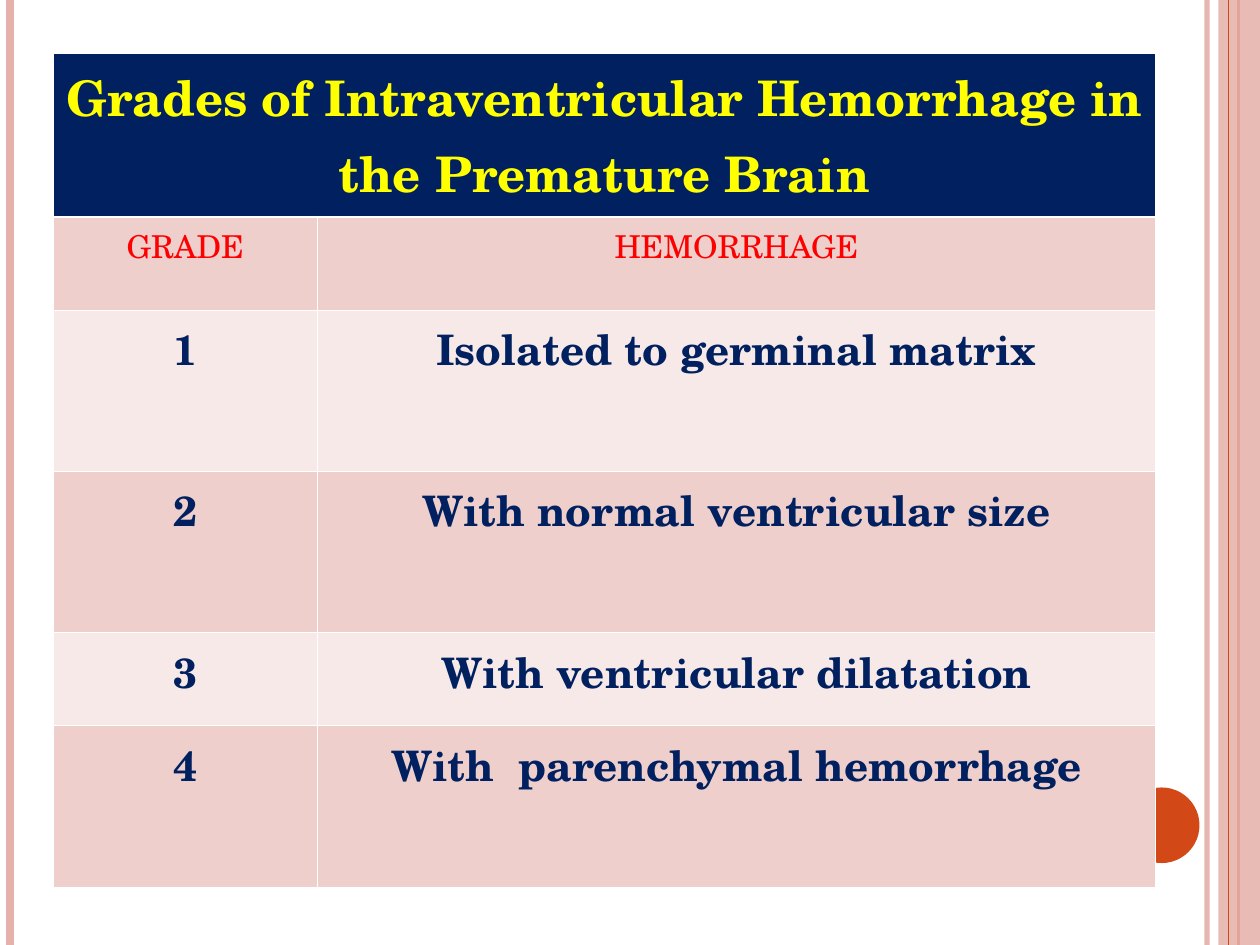
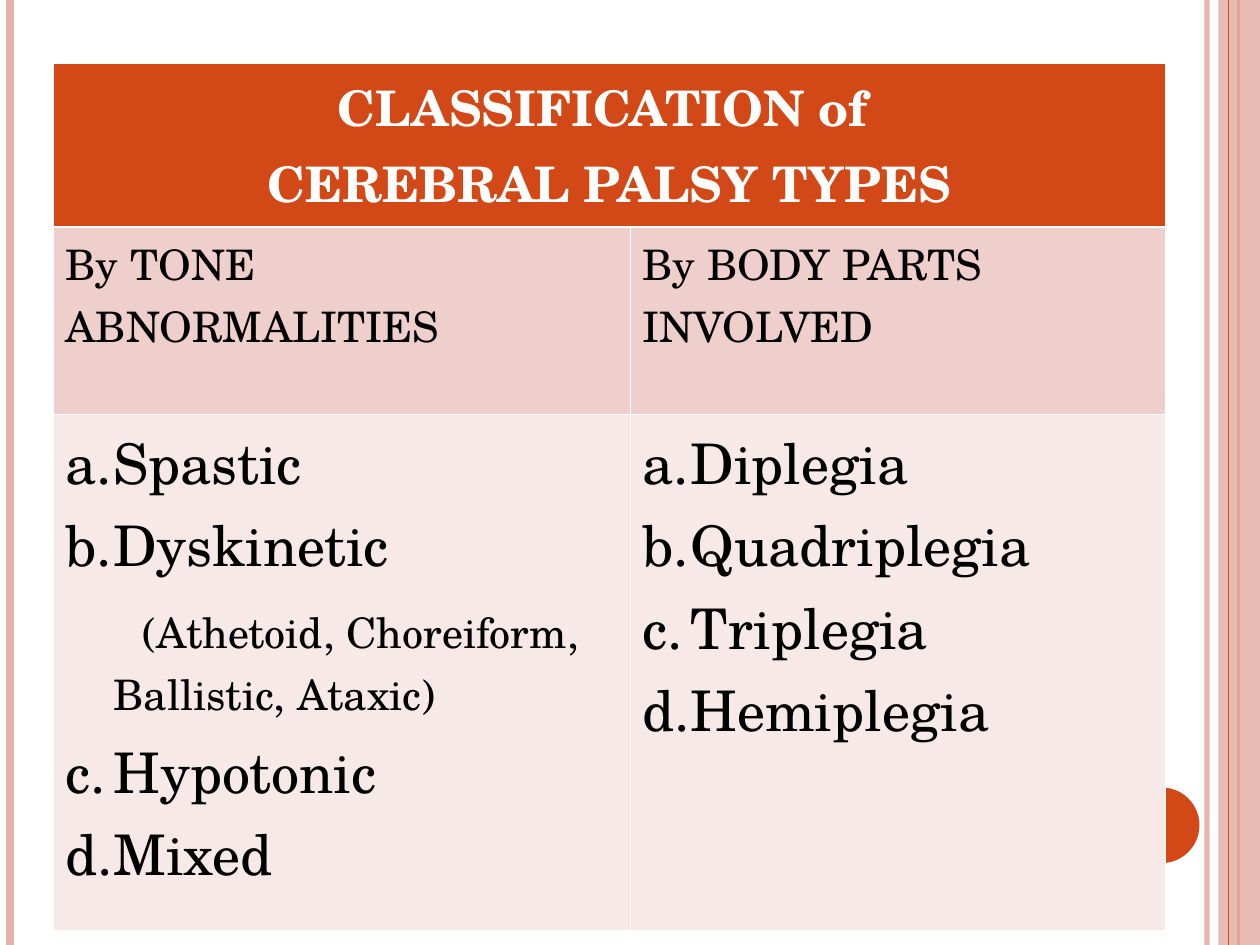
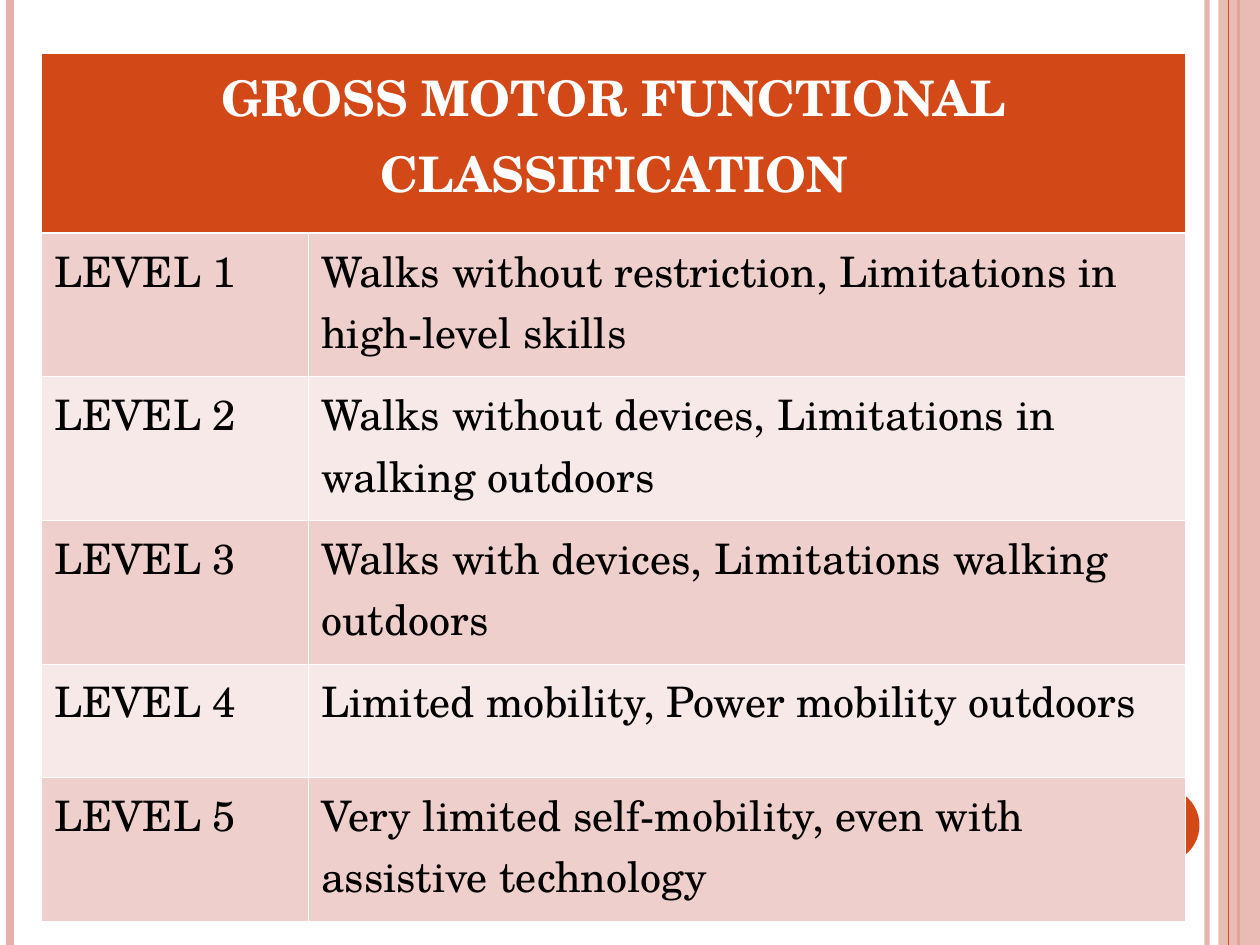
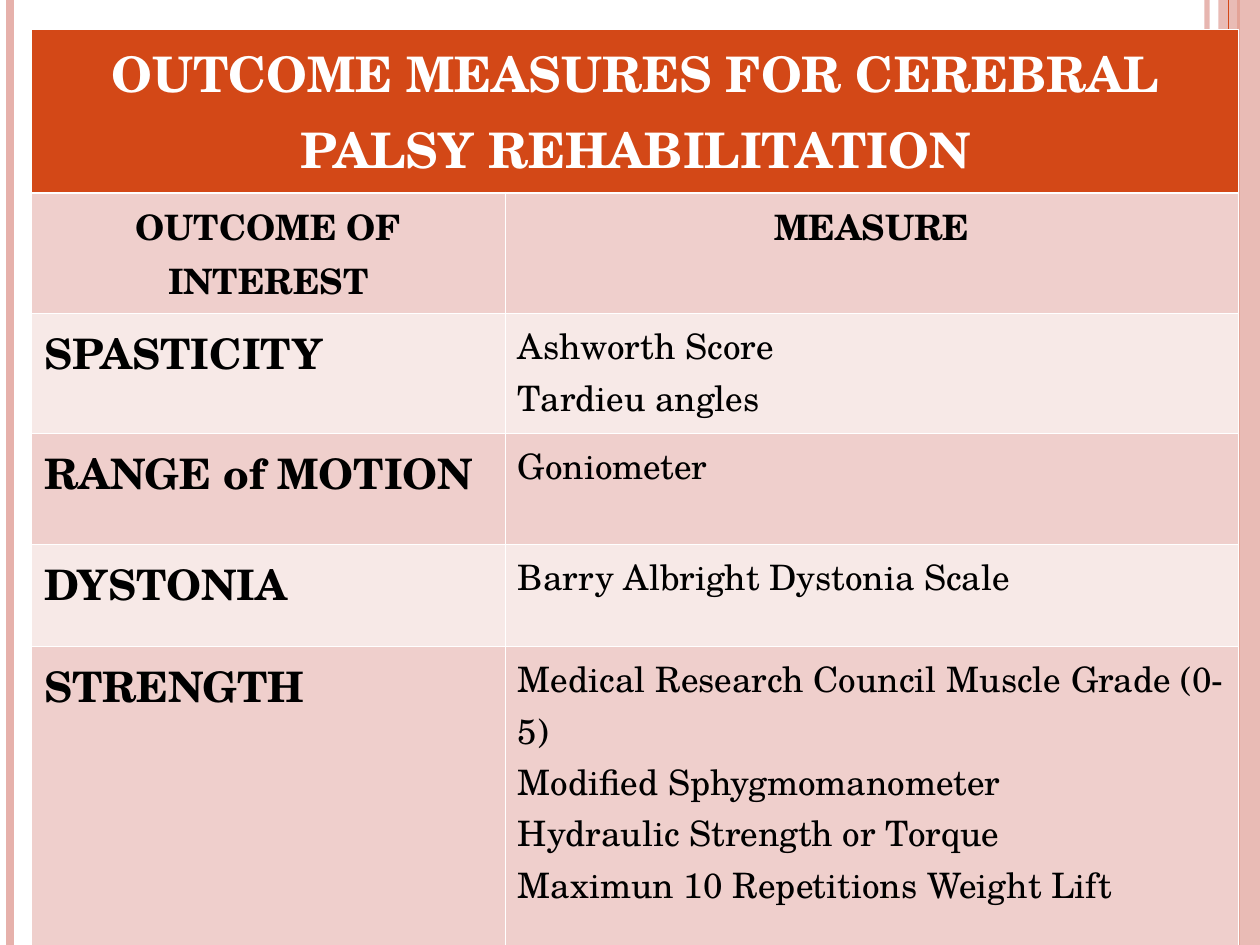
from lxml import etree
from pptx import Presentation
from pptx.dml.color import RGBColor
from pptx.enum.shapes import MSO_CONNECTOR, MSO_SHAPE
from pptx.enum.text import PP_ALIGN
from pptx.oxml.ns import qn
from pptx.util import Inches, Pt

STRAIGHT = MSO_CONNECTOR.STRAIGHT
RECTANGLE, OVAL = MSO_SHAPE.RECTANGLE, MSO_SHAPE.OVAL
LEFT, CENTER = PP_ALIGN.LEFT, PP_ALIGN.CENTER

FONT = "TeX Gyre Schola"
ORANGE, PINK, NAVY = "D34817", "E6B1AB", "002060"
YELLOW, RED, BLACK, WHITE = "FFFF00", "FF0000", "000000", "FFFFFF"
BANDS = ("EFCFCC", "F7E9E7")
THIN, THICK = 0.45, 1.47
SLIDE_WIDTH, SLIDE_HEIGHT = 10, 7.5

STRIPES = [
    {"x": 9.58, "color": PINK, "width": 3, "opacity": 93},
    {"x": 0.08, "color": PINK, "width": 4.5, "opacity": 100},
    {"x": 9.83, "color": ORANGE, "width": 1.5, "opacity": 100},
    {"x": 9.75, "color": ORANGE, "width": 0.75, "opacity": 100},
]
SIDE_BAND = (9.67, 0, 0.33, SLIDE_HEIGHT)
NUMBER_DISC = (8.92, 6.25, 0.6, 0.6)


def style(size, color=BLACK, bold=False, align=LEFT, indent=None, number=None, spacing=None):
    return {
        "font": {"name": FONT, "size": Pt(size), "bold": bold},
        "color": color,
        "paragraph": {"alignment": align, **(spacing or {})},
        "indent": indent,
        "number": number,
    }


HANGING = (0.38, -0.38)
STYLES = {
    "title": style(28, WHITE, True, CENTER),
    "yellow title": style(28, YELLOW, True, CENTER),
    "red heading": style(18, RED, align=CENTER),
    "grade": style(24, NAVY, True, CENTER),
    "text": style(24),
    "listed": style(32, indent=HANGING, number=1),
    "listed from c": style(32, indent=HANGING, number=3),
    "listed note": style(24, indent=(0.38, 0.23),
                         spacing={"space_before": Pt(9), "space_after": Pt(3)}),
    "heading": style(20, bold=True, align=CENTER),
    "outcome": style(24, bold=True),
    "measure": style(20),
}


def plain_rows(rows, first_style, second_style):
    return [[[(first_style, [first])], [(second_style, second.split("\n"))]]
            for first, second in rows]


TABLES = [
    {
        "position": (0.42, 0.42),
        "columns": (2.1, 6.65),
        "rows": (1.28, 0.74, 1.28, 1.28, 0.74, 1.28),
        "title": ("yellow title", ["Grades of Intraventricular Hemorrhage in the Premature Brain"]),
        "title_fill": NAVY,
        "body": plain_rows([("GRADE", "HEMORRHAGE")], "red heading", "red heading")
        + plain_rows([
            ("1", "Isolated to germinal matrix"),
            ("2", "With normal ventricular size"),
            ("3", "With ventricular dilatation"),
            ("4", "With  parenchymal hemorrhage"),
        ], "grade", "grade"),
    },
    {
        "position": (0.42, 0.5),
        "columns": (4.58, 4.25),
        "rows": (1.1, 1.49, 4.09),
        "title": ("title", ["CLASSIFICATION of ", "CEREBRAL PALSY TYPES"]),
        "title_fill": ORANGE,
        "body": plain_rows([("By TONE ABNORMALITIES", "By BODY PARTS INVOLVED")], "text", "text")
        + [[
            [
                ("listed", ["Spastic", "Dyskinetic"]),
                ("listed note", ["(Athetoid, Choreiform, Ballistic, Ataxic)"]),
                ("listed from c", ["Hypotonic", "Mixed"]),
            ],
            [("listed", ["Diplegia", "Quadriplegia", "Triplegia", "Hemiplegia"])],
        ]],
    },
    {
        "position": (0.33, 0.42),
        "columns": (2.12, 6.96),
        "rows": (1.43, 1.14, 1.14, 1.14, 0.9, 1.14),
        "title": ("title", ["GROSS MOTOR FUNCTIONAL CLASSIFICATION"]),
        "title_fill": ORANGE,
        "body": plain_rows([
            ("LEVEL 1", "Walks without restriction, Limitations in high-level skills"),
            ("LEVEL 2", "Walks without devices, Limitations in walking outdoors"),
            ("LEVEL 3", "Walks with devices, Limitations walking outdoors"),
            ("LEVEL 4", "Limited mobility, Power mobility outdoors"),
            ("LEVEL 5", "Very limited self-mobility, even with assistive technology"),
        ], "text", "text"),
    },
    {
        "position": (0.25, 0.23),
        "columns": (3.76, 5.82),
        "rows": (1.1, 0.77, 0.95, 0.88, 0.81, 2.58),
        "title": ("title", ["OUTCOME MEASURES FOR CEREBRAL PALSY REHABILITATION"]),
        "title_fill": ORANGE,
        "body": plain_rows([("OUTCOME OF INTEREST", "MEASURE")], "heading", "heading")
        + plain_rows([
            ("SPASTICITY", "Ashworth Score\nTardieu angles"),
            ("RANGE of MOTION", "Goniometer"),
            ("DYSTONIA", "Barry Albright Dystonia Scale"),
            ("STRENGTH", "Medical Research Council Muscle Grade (0-5)\n"
                         "Modified Sphygmomanometer\n"
                         "Hydraulic Strength or Torque\n"
                         "Maximun 10 Repetitions Weight Lift"),
        ], "outcome", "measure"),
    },
]


def rgb(color):
    return RGBColor.from_string(color)


def set_opacity(shape, percent):
    for color in shape.element.spPr.iter(qn("a:srgbClr")):
        etree.SubElement(color, qn("a:alpha"), val=str(percent * 1000))


def add_stripe(slide, x, color, width, opacity):
    stripe = slide.shapes.add_connector(STRAIGHT, Inches(x), 0, Inches(x), Inches(SLIDE_HEIGHT))
    stripe.line.color.rgb = rgb(color)
    stripe.line.width = Pt(width)
    if opacity < 100:
        set_opacity(stripe, opacity)
    etree.SubElement(stripe.element.spPr, qn("a:effectLst"))
    return stripe


def add_filled_shape(slide, kind, box, color):
    shape = slide.shapes.add_shape(kind, *map(Inches, box))
    shape.shadow.inherit = False
    shape.fill.solid()
    shape.fill.fore_color.rgb = rgb(color)
    shape.line.fill.background()
    return shape


def move_decoration_to_layout(slide, layout):
    stripes = [add_stripe(slide, **stripe) for stripe in STRIPES]
    band = add_filled_shape(slide, RECTANGLE, SIDE_BAND, PINK)
    set_opacity(band, 87)
    disc = add_filled_shape(slide, OVAL, NUMBER_DISC, ORANGE)
    for shape in (*stripes[:3], band, stripes[3], disc):
        layout.shapes.element.append(shape.element)


def set_borders(cell, top, bottom):
    properties = cell._tc.get_or_add_tcPr()
    for side, width in (("L", THIN), ("R", THIN), ("T", top), ("B", bottom)):
        line = etree.SubElement(properties, qn(f"a:ln{side}"), w=str(Pt(width)))
        fill = etree.SubElement(line, qn("a:solidFill"))
        etree.SubElement(fill, qn("a:srgbClr"), val=WHITE)


def format_paragraph(paragraph, text, look):
    properties = paragraph._p.get_or_add_pPr()
    if look["indent"]:
        margin, first_line = look["indent"]
        properties.set("marL", str(Inches(margin)))
        properties.set("indent", str(Inches(first_line)))
    if look["number"]:
        numbering = etree.SubElement(properties, qn("a:buAutoNum"), type="alphaLcPeriod")
        if look["number"] > 1:
            numbering.set("startAt", str(look["number"]))
    for name, value in look["paragraph"].items():
        setattr(paragraph, name, value)
    run = paragraph.add_run()
    run.text = text
    for name, value in look["font"].items():
        setattr(run.font, name, value)
    run.font.color.rgb = rgb(look["color"])


def fill_text(cell, groups):
    lines = [(text, STYLES[name]) for name, texts in groups for text in texts]
    frame = cell.text_frame
    for index, (text, look) in enumerate(lines):
        paragraph = frame.add_paragraph() if index else frame.paragraphs[0]
        format_paragraph(paragraph, text, look)


def add_grid(slide, content):
    columns, rows = content["columns"], content["rows"]
    box = (*content["position"], sum(columns), sum(rows))
    table = slide.shapes.add_table(len(rows), len(columns), *map(Inches, box)).table
    table.first_row = table.horz_banding = False
    for column, width in zip(table.columns, columns):
        column.width = Inches(width)
    for index, (row, height) in enumerate(zip(table.rows, rows)):
        row.height = Inches(height)
        color = BANDS[(index - 1) % 2] if index else content["title_fill"]
        for cell in row.cells:
            set_borders(cell, THICK if index == 1 else THIN, THIN if index else THICK)
            cell.fill.solid()
            cell.fill.fore_color.rgb = rgb(color)
    table.cell(0, 0).merge(table.cell(0, len(columns) - 1))
    fill_text(table.cell(0, 0), [content["title"]])
    for row_index, cells in enumerate(content["body"], start=1):
        for column_index, groups in enumerate(cells):
            fill_text(table.cell(row_index, column_index), groups)


def main():
    presentation = Presentation()
    presentation.slide_width = Inches(SLIDE_WIDTH)
    presentation.slide_height = Inches(SLIDE_HEIGHT)
    blank = presentation.slide_layouts[6]
    slides = [presentation.slides.add_slide(blank) for _ in TABLES]
    move_decoration_to_layout(slides[0], blank)
    for slide, content in zip(slides, TABLES):
        add_grid(slide, content)
    presentation.save("out.pptx")


if __name__ == "__main__":
    main()
